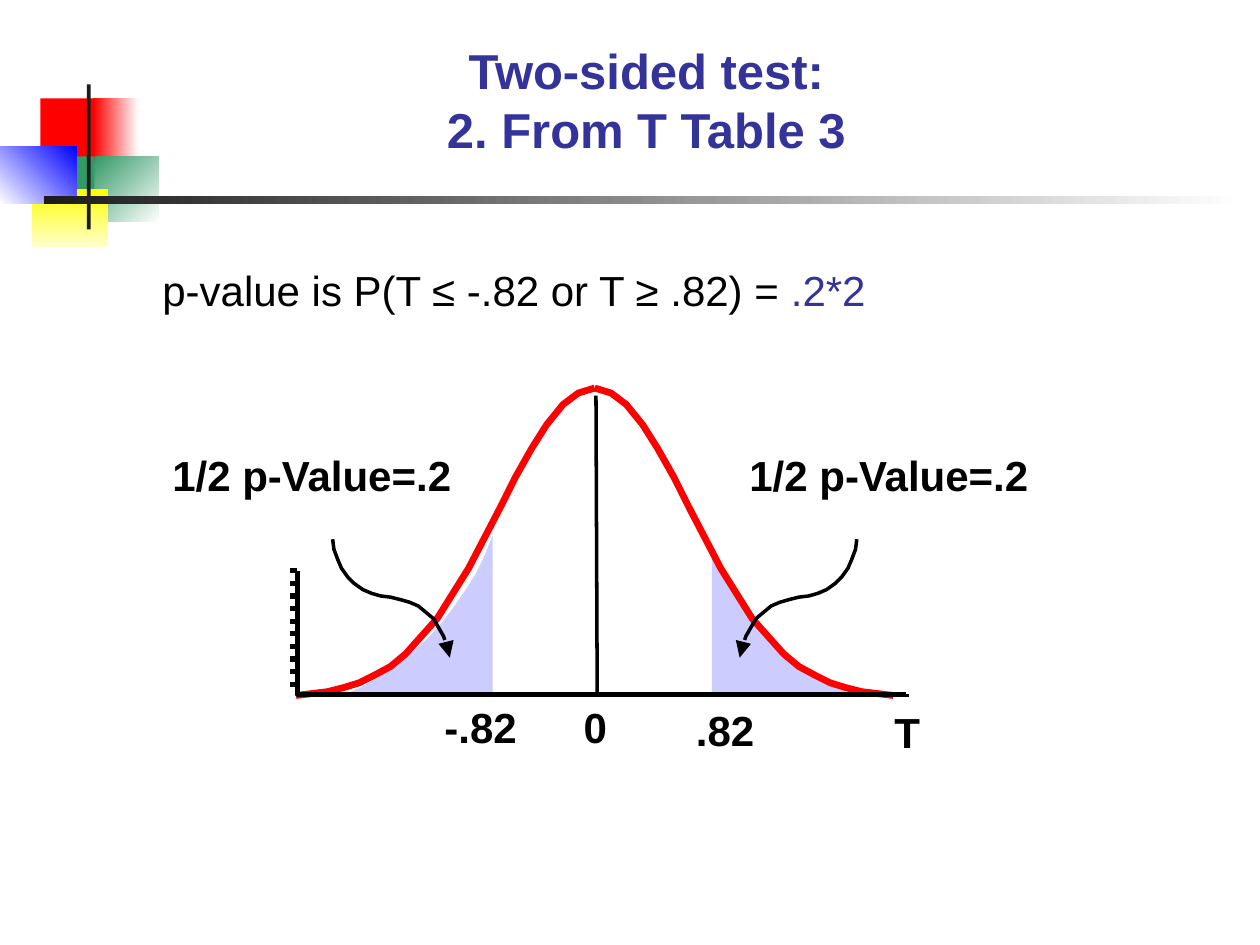
from dataclasses import dataclass

from lxml import etree
from pptx import Presentation
from pptx.dml.color import RGBColor
from pptx.enum import shapes, text
from pptx.oxml.ns import qn
from pptx.util import Inches, Pt


@dataclass(frozen=True)
class Theme:
    font: str = "Arial"
    title_size: int = 28
    body_size: int = 24
    ink: str = "000000"
    accent: str = "333399"
    curve: str = "FF0000"
    tail: str = "CCCCFF"
    red: str = "FF0000"
    green: str = "339966"
    yellow: str = "FFFF00"
    cream: str = "FFFFCC"
    blue: str = "0000FF"
    charcoal: str = "1C1C1C"
    white: str = "FFFFFF"


@dataclass(frozen=True)
class Box:
    left: float
    top: float
    width: float
    height: float

    def inner(self, left, top, width, height):
        return Box(self.left + left, self.top + top, width, height)

    def lengths(self):
        return [Inches(v) for v in (self.left, self.top, self.width, self.height)]


THEME = Theme()
CENTRE = text.PP_ALIGN.CENTER
HALF_CURVE = [(0, 0), (0.13, 0.04), (0.25, 0.13), (0.38, 0.29), (0.5, 0.48),
              (0.63, 0.71), (0.75, 0.95), (1, 1.43), (1.25, 1.83), (1.5, 2.11),
              (1.62, 2.21), (1.75, 2.28), (1.87, 2.34), (2, 2.38),
              (2.12, 2.41), (2.37, 2.44)]
LEFT_TAIL = [(1.55, 1.17), (1.55, 2.43), (0.38, 2.43), (0.52, 2.37), (0.66, 2.28),
             (0.79, 2.2), (0.91, 2.1), (1.03, 1.99), (1.14, 1.87), (1.24, 1.74),
             (1.33, 1.61), (1.42, 1.47), (1.49, 1.32)]
RIGHT_TAIL = [(3.29, 1.23), (3.29, 2.43), (4.4, 2.43), (4.27, 2.37), (4.14, 2.29),
              (4.02, 2.21), (3.9, 2.11), (3.78, 2.01), (3.68, 1.9), (3.59, 1.78),
              (3.5, 1.65), (3.42, 1.52), (3.35, 1.37)]
ARROW_STEM = [(2.08, 1.2), (2.07, 1.28), (2.04, 1.36), (2.01, 1.43), (1.96, 1.5),
              (1.91, 1.55), (1.84, 1.6), (1.77, 1.63), (1.7, 1.65), (1.62, 1.66),
              (1.54, 1.68), (1.47, 1.7), (1.4, 1.73), (1.34, 1.78), (1.28, 1.83),
              (1.24, 1.9), (1.2, 1.97), (1.19, 2)]
ARROW_HEAD = [(1.24, 2.03), (1.15, 2.14), (1.12, 2)]


def rgb(value):
    return RGBColor.from_string(value)


def add_block(slide, box, start, end=None, angle=0):
    block = slide.shapes.add_shape(shapes.MSO_SHAPE.RECTANGLE, *box.lengths())
    block.shadow.inherit = False
    block.line.fill.background()
    if end is None:
        block.fill.solid()
        block.fill.fore_color.rgb = rgb(start)
        return
    block.fill.gradient()
    block.fill.gradient_angle = -angle % 360
    for stop, color, position in zip(block.fill.gradient_stops, (start, end), (0, 1)):
        stop.color.rgb = rgb(color)
        stop.position = position


def add_text(slide, box, lines, size, bold=False, align=CENTRE, wrap=True,
             margins=(0, 0), anchor=text.MSO_ANCHOR.TOP):
    frame = slide.shapes.add_textbox(*box.lengths()).text_frame
    frame.word_wrap = wrap
    frame.vertical_anchor = anchor
    frame.margin_left = frame.margin_right = Inches(margins[0])
    frame.margin_top = frame.margin_bottom = Inches(margins[1])
    paragraph = frame.paragraphs[0]
    paragraph.alignment = align
    for index, line in enumerate(lines):
        if index:
            paragraph.add_line_break()
        for words, color in line:
            run = paragraph.add_run()
            run.text = words
            run.font.name = THEME.font
            run.font.size = Pt(size)
            run.font.bold = bold
            run.font.color.rgb = rgb(color)


def add_outline(slide, box, points, fill=None, line=None, weight=0):
    corners = [(Inches(box.left + x), Inches(box.top + y)) for x, y in points]
    builder = slide.shapes.build_freeform(*corners[0], scale=1.0)
    builder.add_line_segments(corners[1:], close=fill is not None)
    outline = builder.convert_to_shape()
    outline.shadow.inherit = False
    if fill:
        outline.fill.solid()
        outline.fill.fore_color.rgb = rgb(fill)
    else:
        outline.fill.background()
    if line:
        outline.line.color.rgb = rgb(line)
        outline.line.width = Pt(weight)
    else:
        outline.line.fill.background()


def add_line(slide, box, start, end, weight):
    ends = [Inches(v) for x, y in (start, end) for v in (box.left + x, box.top + y)]
    line = slide.shapes.add_connector(shapes.MSO_CONNECTOR.STRAIGHT, *ends)
    line.line.color.rgb = rgb(THEME.ink)
    line.line.width = Pt(weight)
    etree.SubElement(line._element.spPr, qn("a:effectLst"))


def add_ornament(slide, box):
    t = THEME
    for place, *paint in (
        ((0.32, 0.11, 0.48, 0.52), t.red),
        ((0.74, 0.11, 0.36, 0.52), t.red, t.white),
        ((0.75, 0.57, 0.51, 0.52), t.green, t.white, 45),
        ((0.43, 0.57, 0.32, 0.52), t.green),
        ((0.25, 0.83, 0.61, 0.46), t.yellow, t.cream, 90),
        ((0, 0.49, 0.61, 0.46), t.white, t.blue, 315),
        ((0.69, 0, 0.03, 1.15), t.charcoal),
        ((0.35, 0.89, 9.51, 0.06), t.charcoal, t.white),
    ):
        add_block(slide, box.inner(*place), *paint)


def add_heading(slide, box):
    lines = [[("Two-sided test:", THEME.accent)], [("2. From T Table 3", THEME.accent)]]
    add_text(slide, box, lines, THEME.title_size, bold=True, margins=(0.1, 0.05),
             anchor=text.MSO_ANCHOR.MIDDLE)


def add_statement(slide, box):
    line = [("p-value is P(T ≤ -.82 or T ≥ .82) = ", THEME.ink), (".2*2", THEME.accent)]
    add_text(slide, box, [line], THEME.body_size, align=text.PP_ALIGN.LEFT,
             margins=(0.1, 0.05))


def add_distribution(slide, box):
    ink, width, base = THEME.ink, box.width, box.height
    mean, axis_top = 2.36, 1.45

    def mirrored(points, side):
        return [(mean + side * x, y) for x, y in points]

    add_line(slide, box, (mean + 0.01, 0.06), (mean + 0.02, base + 0.02), 2)
    for tail in (LEFT_TAIL, RIGHT_TAIL):
        add_outline(slide, box, tail, fill=THEME.tail)
    for side in (1, -1):
        add_outline(slide, box, mirrored(HALF_CURVE, side), line=THEME.curve, weight=3.88)

    add_outline(slide, box, [(0, axis_top), (0, base), (width, base)], line=ink, weight=3)
    for step in range(10):
        y = axis_top + 0.1 * step
        x = width * (1 - step / 10)
        add_line(slide, box, (-0.06, y), (0, y), 3)
        add_line(slide, box, (x, base), (x, base + 0.02), 3)

    for side in (1, -1):
        add_outline(slide, box, mirrored(ARROW_STEM, side), line=ink, weight=2)
        add_outline(slide, box, mirrored(ARROW_HEAD, side), fill=ink)

    half = "1/2 p-Value=.2"
    for words, place, wrap in (
        ("T", (4.61, 2.53, 0.46, 0.4), True),
        ("0", (2.27, 2.49, 0.19, 0.4), False),
        (".82", (2.9, 2.51, 0.99, 0.4), True),
        ("-.82", (0.89, 2.49, 1.13, 0.4), True),
        (half, (-1, 0.49, 2.23, 0.81), False),
        (half, (3.58, 0.49, 2.23, 0.81), False),
    ):
        add_text(slide, box.inner(*place), [[(words, ink)]], THEME.body_size,
                 bold=True, wrap=wrap)


def main():
    deck = Presentation()
    deck.slide_width, deck.slide_height = Inches(10), Inches(7.5)
    slide = deck.slides.add_slide(deck.slide_layouts[6])
    add_ornament(slide, Box(0, 0.67, 9.86, 1.29))
    add_heading(slide, Box(1.26, 0.25, 7.74, 1.08))
    add_statement(slide, Box(1.19, 2.05, 8.81, 0.5))
    add_distribution(slide, Box(2.36, 3.08, 4.83, 2.43))
    deck.save("out.pptx")


if __name__ == "__main__":
    main()
